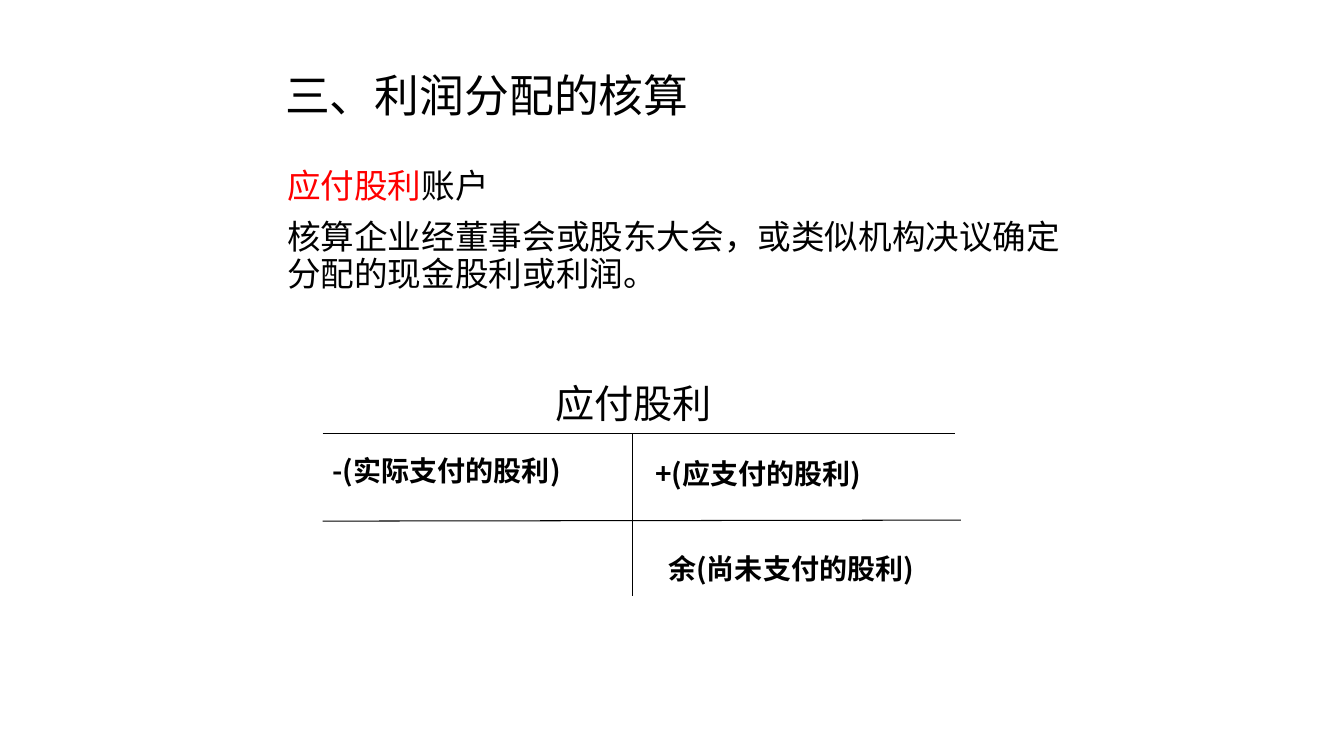
"""Build a slide on profit distribution with a T-account for dividends payable."""
import pptx
import pptx.dml.color
import pptx.enum.shapes
import pptx.enum.text
import pptx.oxml
import pptx.oxml.ns
import pptx.util

FONT = "Noto Sans CJK SC"
BLACK, RED = "000000", "FF0000"
WIDTH, HEIGHT = 13.33, 7.5

presentation = pptx.Presentation()
presentation.slide_width = pptx.util.Inches(WIDTH)
presentation.slide_height = pptx.util.Inches(HEIGHT)
slide = presentation.slides.add_slide(presentation.slide_layouts[6])


def color(hex_string):
    return pptx.dml.color.RGBColor.from_string(hex_string)


def add_text(box, paragraphs, size, line_spacing, bold=False, anchor="TOP"):
    shape = slide.shapes.add_textbox(*map(pptx.util.Inches, box))
    frame = shape.text_frame
    frame.word_wrap = True
    frame.vertical_anchor = pptx.enum.text.MSO_ANCHOR[anchor]
    for index, pieces in enumerate(paragraphs):
        paragraph = frame.add_paragraph() if index else frame.paragraphs[0]
        paragraph.line_spacing = line_spacing
        paragraph.space_before = pptx.util.Pt(10 if index else 0)
        for text, hex_string in pieces:
            run = paragraph.add_run()
            run.text = text
            run.font.size = pptx.util.Pt(size)
            run.font.bold = bold
            run.font.name = FONT
            run.font.color.rgb = color(hex_string)
            east_asian = pptx.oxml.parse_xml(
                f'<a:ea {pptx.oxml.ns.nsdecls("a")} typeface="{FONT}"/>')
            run.font._element.find(pptx.oxml.ns.qn("a:latin")).addnext(east_asian)


add_text((2.73, 0.52, 7.5, 0.9), [[("三、利润分配的核算", BLACK)]], 32, 0.9, anchor="MIDDLE")
add_text((2.75, 1.62, 8.03, 4.73), [
    [("应付股利", RED), ("账户", BLACK)],
    [("核算企业经董事会或股东大会，或类似机构决议确定分配的现金股利或利润。", BLACK)],
], 24, pptx.util.Pt(26.4))

left, stem, right = 3.2, 6.27, 9.47
top, balance, bottom = 4.3, 5.17, 5.91
account_lines = [
    (left, top, right, top),
    (stem, top, stem, bottom),
    (left, balance, right + 0.06, balance - 0.01),
]
for ends in account_lines:
    connector = slide.shapes.add_connector(
        pptx.enum.shapes.MSO_CONNECTOR.STRAIGHT, *map(pptx.util.Inches, ends))
    connector.line.color.rgb = color(BLACK)
    connector.line.width = pptx.util.Pt(0.75)
    connector._element.spPr.append(
        pptx.oxml.parse_xml(f'<a:effectLst {pptx.oxml.ns.nsdecls("a")}/>'))

account_labels = [
    ("应付股利", (5.41, 3.69, 3.15, 0.57), 28, False),
    ("-(实际支付的股利)", (left, 4.44, 4.65, 0.44), 20, True),
    ("余(尚未支付的股利)", (6.53, 5.41, 4.25, 0.44), 20, True),
    ("+(应支付的股利)", (6.4, 4.47, 3.56, 0.44), 20, True),
]
for text, box, size, bold in account_labels:
    add_text(box, [[(text, BLACK)]], size, pptx.util.Pt(1.25 * size), bold)

presentation.save("out.pptx")
